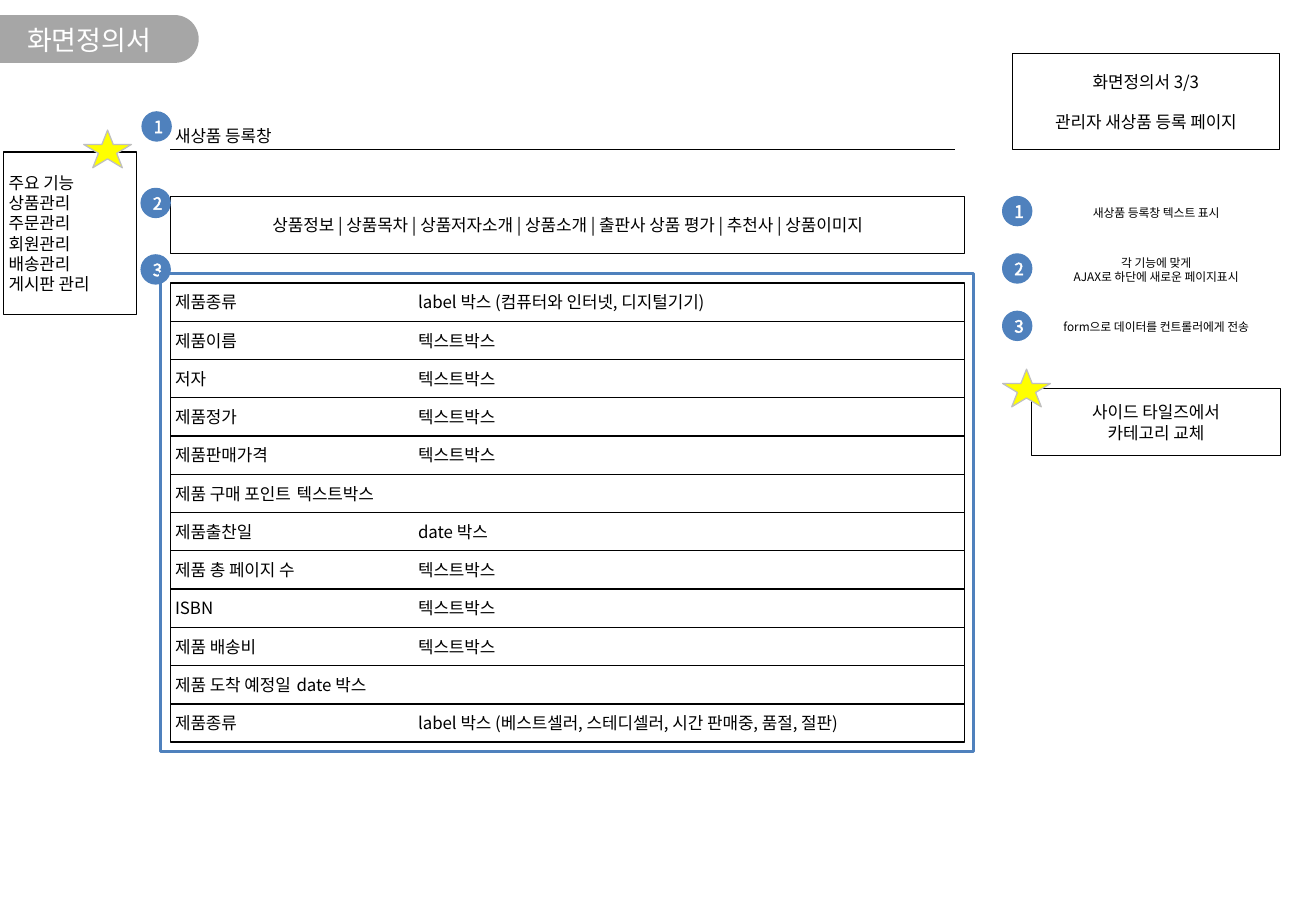
from dataclasses import dataclass

from lxml.etree import SubElement
from pptx import Presentation
from pptx.dml.color import RGBColor
from pptx.enum.shapes import MSO_CONNECTOR, MSO_SHAPE
from pptx.enum.text import MSO_ANCHOR, PP_ALIGN
from pptx.oxml.ns import qn
from pptx.util import Cm, Pt

BLACK = RGBColor(0x00, 0x00, 0x00)
WHITE = RGBColor(0xFF, 0xFF, 0xFF)
GRAY = RGBColor(0xA6, 0xA6, 0xA6)
SILVER = RGBColor(0xBF, 0xBF, 0xBF)
BLUE = RGBColor(0x4F, 0x81, 0xBD)
YELLOW = RGBColor(0xFF, 0xFF, 0x00)
FONT = "Noto Sans CJK KR"

CONTENT_LEFT, CONTENT_WIDTH = 3.56, 16.61
MARKER_SIZE = 0.61
NOTE_PITCH = 1.2
ROW_TOP, ROW_HEIGHT = 5.92, 0.8
NEAR_TAB, FAR_TAB = 2.54, 5.08


@dataclass(frozen=True)
class Area:
    left: float
    top: float
    width: float
    height: float

    def lengths(self):
        return Cm(self.left), Cm(self.top), Cm(self.width), Cm(self.height)


@dataclass(frozen=True)
class Field:
    label: str
    control: str
    tab: float = FAR_TAB


@dataclass(frozen=True)
class Marker:
    number: int
    left: float
    top: float


FIELDS = [
    Field("제품종류", "label 박스 (컴퓨터와 인터넷, 디지털기기)"),
    Field("제품이름", "텍스트박스"),
    Field("저자", "텍스트박스"),
    Field("제품정가", "텍스트박스"),
    Field("제품판매가격", "텍스트박스"),
    Field("제품 구매 포인트", "텍스트박스", NEAR_TAB),
    Field("제품출찬일", "date 박스"),
    Field("제품 총 페이지 수", "텍스트박스"),
    Field("ISBN", "텍스트박스"),
    Field("제품 배송비", "텍스트박스"),
    Field("제품 도착 예정일", "date 박스", NEAR_TAB),
    Field("제품종류", "label 박스 (베스트셀러, 스테디셀러, 시간 판매중, 품절, 절판)"),
]
NOTES = [
    "새상품 등록창 텍스트 표시",
    "각 기능에 맞게\nAJAX로 하단에 새로운 페이지표시",
    "form으로 데이터를 컨트롤러에게 전송",
]
SCREEN_MARKERS = [Marker(1, 2.97, 2.34), Marker(2, 2.95, 3.94), Marker(3, 2.95, 5.33)]
STARS = [Area(20.96, 7.72, 1, 0.79), Area(1.75, 2.72, 1, 0.79)]
MENU = "상품정보 | 상품목차 | 상품저자소개 | 상품소개 | 출판사 상품 평가 | 추천사 | 상품이미지"
SIDE_MENU = "주요 기능\n상품관리\n주문관리\n회원관리\n배송관리\n게시판 관리"


def write_text(shape, text: str, *, size=10, color=BLACK, align=PP_ALIGN.CENTER,
               wrap=True, gap=0, tab=None, outline=None) -> None:
    frame = shape.text_frame
    frame.word_wrap = wrap
    frame.vertical_anchor = MSO_ANCHOR.MIDDLE
    frame.margin_left = frame.margin_right = Cm(0.1)
    frame.margin_top = frame.margin_bottom = Cm(0.1)
    lines = text.split("\n")
    for index, line in enumerate(lines):
        para = frame.add_paragraph() if index else frame.paragraphs[0]
        para.alignment = align
        para.space_before = Pt(gap if index else 0)
        if len(lines) > 1:
            para.line_spacing = Pt(size * 1.2)
        if tab:
            stops = SubElement(para._p.get_or_add_pPr(), qn("a:tabLst"))
            SubElement(stops, qn("a:tab"), pos=str(Cm(tab)), algn="l")
        span = para.add_run()
        span.text = line
        span.font.size = Pt(size)
        span.font.name = FONT
        span.font.color.rgb = color
        properties = span.font._element
        SubElement(properties, qn("a:ea"), typeface=FONT)
        if outline:
            stroke = SubElement(properties, qn("a:ln"), w=str(Pt(0.75)))
            fill = SubElement(stroke, qn("a:solidFill"))
            SubElement(fill, qn("a:srgbClr"), val=str(outline))
            properties.insert(0, stroke)


def add_box(page, area: Area, *, kind=MSO_SHAPE.RECTANGLE, fill=None, line=BLACK, weight=0.75):
    box = page.shapes.add_shape(kind, *area.lengths())
    box.shadow.inherit = False
    if fill is None:
        box.fill.background()
    else:
        box.fill.solid()
        box.fill.fore_color.rgb = fill
    if line is None:
        box.line.fill.background()
    else:
        box.line.color.rgb = line
        box.line.width = Pt(weight)
    return box


def add_label(page, area: Area, text: str, **text_format) -> None:
    write_text(page.shapes.add_textbox(*area.lengths()), text, **text_format)


def add_marker(page, marker: Marker) -> None:
    area = Area(marker.left, marker.top, MARKER_SIZE, MARKER_SIZE)
    circle = add_box(page, area, kind=MSO_SHAPE.OVAL, fill=BLUE, line=BLUE)
    write_text(circle, f" {marker.number}", color=WHITE, wrap=False, outline=WHITE)


def add_title(page) -> None:
    title = page.shapes.title
    title.left, title.top, title.width, title.height = Area(0, 0.33, 3.72, 1).lengths()
    write_text(title, "화면정의서", size=16, color=WHITE)
    tab = add_box(page, Area(1.57, -1.27, 1, 4.17), kind=MSO_SHAPE.ROUND_2_SAME_RECTANGLE,
                  fill=GRAY, line=None)
    tab.rotation = 270
    tab.adjustments[0], tab.adjustments[1] = 0, 0.5
    title.element.addprevious(tab.element)


def add_notes(page) -> None:
    for index, note in enumerate(NOTES):
        offset = index * NOTE_PITCH
        add_label(page, Area(21.77, 3.94 + offset, 4.8, 1), note, size=7)
        add_marker(page, Marker(index + 1, 20.96, 4.11 + offset))


def add_screen(page) -> None:
    add_label(page, Area(CONTENT_LEFT, 2.34, CONTENT_WIDTH, 1), "새상품 등록창",
              align=PP_ALIGN.LEFT)
    rule = page.shapes.add_connector(MSO_CONNECTOR.STRAIGHT, Cm(CONTENT_LEFT), Cm(3.12),
                                     Cm(19.96), Cm(3.12))
    rule.line.color.rgb = BLACK
    rule.line.width = Pt(0.75)
    SubElement(rule._element.spPr, qn("a:effectLst"))
    write_text(add_box(page, Area(CONTENT_LEFT, 4.11, CONTENT_WIDTH, 1.2)), MENU)
    for index, field in enumerate(FIELDS):
        area = Area(CONTENT_LEFT, ROW_TOP + index * ROW_HEIGHT, CONTENT_WIDTH, ROW_HEIGHT)
        write_text(add_box(page, area), f"{field.label}\t{field.control}",
                   align=PP_ALIGN.LEFT, tab=field.tab)
    for marker in SCREEN_MARKERS:
        add_marker(page, marker)
    add_box(page, Area(3.35, 5.72, 17, 10), line=BLUE, weight=2)


def main() -> None:
    deck = Presentation()
    deck.slide_width, deck.slide_height = Cm(27.51), Cm(19.05)
    page = deck.slides.add_slide(deck.slide_layouts[5])
    add_title(page)
    write_text(add_box(page, Area(21.16, 1.12, 5.59, 2.01)),
               "화면정의서 3/3\n관리자 새상품 등록 페이지", gap=12)
    add_notes(page)
    add_screen(page)
    write_text(add_box(page, Area(0.08, 3.18, 2.77, 3.4)), SIDE_MENU, align=PP_ALIGN.LEFT)
    write_text(add_box(page, Area(21.56, 8.13, 5.21, 1.4), fill=WHITE),
               "사이드 타일즈에서\n카테고리 교체")
    for area in STARS:
        add_box(page, area, kind=MSO_SHAPE.STAR_5_POINT, fill=YELLOW, line=SILVER)
    deck.save("out.pptx")


if __name__ == "__main__":
    main()
